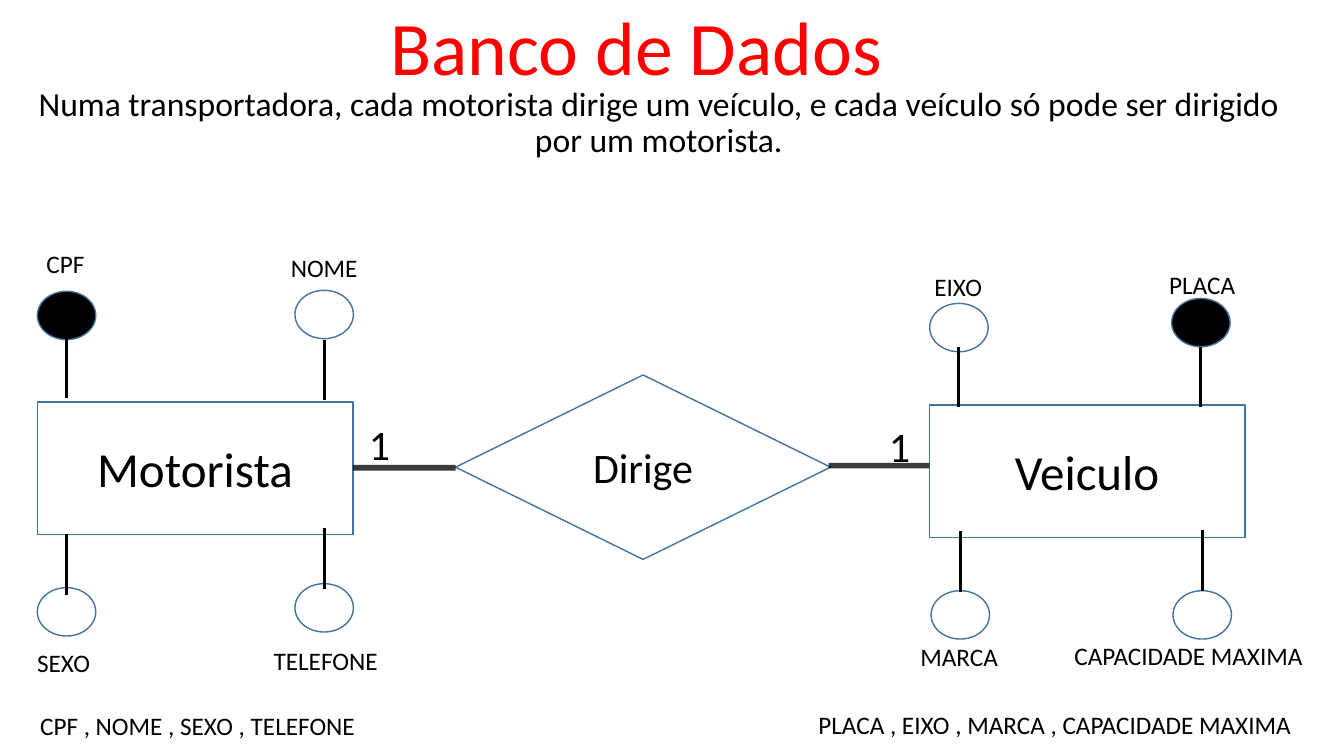
from pptx import Presentation
from pptx.dml.color import RGBColor
from pptx.enum.shapes import MSO_CONNECTOR, MSO_SHAPE
from pptx.enum.text import MSO_ANCHOR, PP_ALIGN
from pptx.oxml.ns import qn
from pptx.util import Inches, Pt
from lxml.etree import SubElement

RED = RGBColor(0xFF, 0x00, 0x00)
BLACK = RGBColor(0x00, 0x00, 0x00)
WHITE = RGBColor(0xFF, 0xFF, 0xFF)
BLUE = RGBColor(0x43, 0x73, 0x9E)
LEFT, CENTER = PP_ALIGN.LEFT, PP_ALIGN.CENTER

# Grid of 100 columns by 100 rows
WIDTH, HEIGHT = Inches(13.33), Inches(7.5)
LABEL_H = 5.33
OVAL_W, OVAL_H = 4.35, 6.4
STEM = 8
ENTITY_W, ENTITY_H = 23.48, 17.47

# Name, left, top
ENTITIES = [("Motorista", 2.78, 53.2), ("Veiculo", 69.15, 53.6)]

# Name, centre, oval top, stem top, label (left, top, width), alignment, is key
ATTRIBUTES = [
    ("CPF", 4.95, 38.53, 44.67, (1.05, 32.13, 7.65), CENTER, True),
    ("NOME", 24.12, 38.4, 44.93, (19.88, 32.67, 8.48), CENTER, False),
    ("SEXO", 4.95, 77.73, 70.67, (2.03, 84.93, 6.45), LEFT, False),
    ("TELEFONE", 24.12, 77.2, 69.87, (19.28, 84.67, 9.9), CENTER, False),
    ("EIXO", 71.35, 40.13, 45.87, (66.98, 35.2, 8.63), CENTER, False),
    ("PLACA", 89.35, 39.47, 45.87, (84.83, 34.93, 9.23), CENTER, True),
    ("MARCA", 71.45, 78.13, 70.27, (67.05, 84.13, 8.63), CENTER, False),
    ("CAPACIDADE MAXIMA", 89.45, 78.13, 70.13, (79.2, 84, 20.78), LEFT, False),
]

# Start, end, row
LINKS = [(26.25, 33.9, 61.87), (61.65, 69.15, 61.6)]

# Text, left, top, width, height, size, alignment
NOTES = [
    ("1", 25.43, 54.67, 5.63, 8.13, 30, CENTER),
    ("1", 65.4, 54.93, 4.65, 8.13, 30, LEFT),
    ("CPF , NOME , SEXO , TELEFONE", 2.25, 93.33, 26.18, LABEL_H, 18, LEFT),
    ("PLACA , EIXO , MARCA , CAPACIDADE MAXIMA",
     60.15, 93.2, 37.5, LABEL_H, 18, LEFT),
]


def col(n):
    return int(WIDTH * n / 100)


def row(n):
    return int(HEIGHT * n / 100)


def area(x, y, w, h):
    return col(x), row(y), col(w), row(h)


def set_attrs(obj, values):
    for name, value in values.items():
        setattr(obj, name, value)


def write(sp, text, size, align=CENTER, color=BLACK,
          anchor=MSO_ANCHOR.TOP, **spacing):
    tf = sp.text_frame
    set_attrs(tf, {"word_wrap": True, "vertical_anchor": anchor})
    p = tf.paragraphs[0]
    set_attrs(p, {"alignment": align, **spacing})
    r = p.add_run()
    r.text = text
    set_attrs(r.font, {"name": "Calibri", "size": Pt(size)})
    r.font.color.rgb = color


def fill_placeholder(sp, box, text, size, **fmt):
    set_attrs(sp, dict(zip(("left", "top", "width", "height"), area(*box))))
    write(sp, text, size, line_spacing=0.9, **fmt)


def add_outlined(s, kind, box, fill=WHITE):
    sp = s.shapes.add_shape(kind, *area(*box))
    sp.shadow.inherit = False
    sp.fill.solid()
    sp.fill.fore_color.rgb = fill
    sp.line.color.rgb = BLUE
    sp.line.width = Pt(1)
    return sp


def add_label(s, text, box, size, align):
    write(s.shapes.add_textbox(*area(*box)), text, size, align)


def add_line(s, x1, y1, x2, y2, width, opacity=100):
    line = s.shapes.add_connector(
        MSO_CONNECTOR.STRAIGHT, col(x1), row(y1), col(x2), row(y2))
    line.line.color.rgb = BLACK
    line.line.width = Pt(width)
    props = line._element.spPr
    if opacity < 100:
        color = props.find(".//" + qn("a:srgbClr"))
        SubElement(color, qn("a:alpha")).set("val", str(opacity * 1000))
    SubElement(props, qn("a:effectLst"))


def add_attribute(s, name, center, oval_top, stem_top, label, align, is_key):
    x, y, w = label
    add_outlined(s, MSO_SHAPE.OVAL,
                 (center - OVAL_W / 2, oval_top, OVAL_W, OVAL_H),
                 BLACK if is_key else WHITE)
    add_line(s, center, stem_top, center, stem_top + STEM, 2.25)
    add_label(s, name, (x, y, w, LABEL_H), 18, align)


def main():
    prs = Presentation()
    prs.slide_width, prs.slide_height = WIDTH, HEIGHT
    s = prs.slides.add_slide(prs.slide_layouts[0])

    # Title and statement
    fill_placeholder(s.shapes.title, (9.83, 0.13, 75, 12.67),
                     "Banco de Dados", 54, color=RED,
                     anchor=MSO_ANCHOR.BOTTOM)
    fill_placeholder(s.placeholders[1], (0.9, 10.93, 96.23, 87.6),
                     "Numa transportadora, cada motorista dirige um veículo, "
                     "e cada veículo só pode ser dirigido por um motorista.",
                     24, space_before=Pt(10))

    # Relationship and entities
    sp = add_outlined(s, MSO_SHAPE.FLOWCHART_DECISION, (33.9, 49.6, 27.9, 24.4))
    write(sp, "Dirige", 30, anchor=MSO_ANCHOR.MIDDLE)
    for name, x, y in ENTITIES:
        sp = add_outlined(s, MSO_SHAPE.RECTANGLE, (x, y, ENTITY_W, ENTITY_H))
        write(sp, name, 35, anchor=MSO_ANCHOR.MIDDLE)
    for start, end, y in LINKS:
        add_line(s, start, y, end, y, 4, opacity=76)

    # Attributes
    for attribute in ATTRIBUTES:
        add_attribute(s, *attribute)

    # Cardinalities and attribute lists
    for text, x, y, w, h, size, align in NOTES:
        add_label(s, text, (x, y, w, h), size, align)

    prs.save("out.pptx")


if __name__ == "__main__":
    main()
